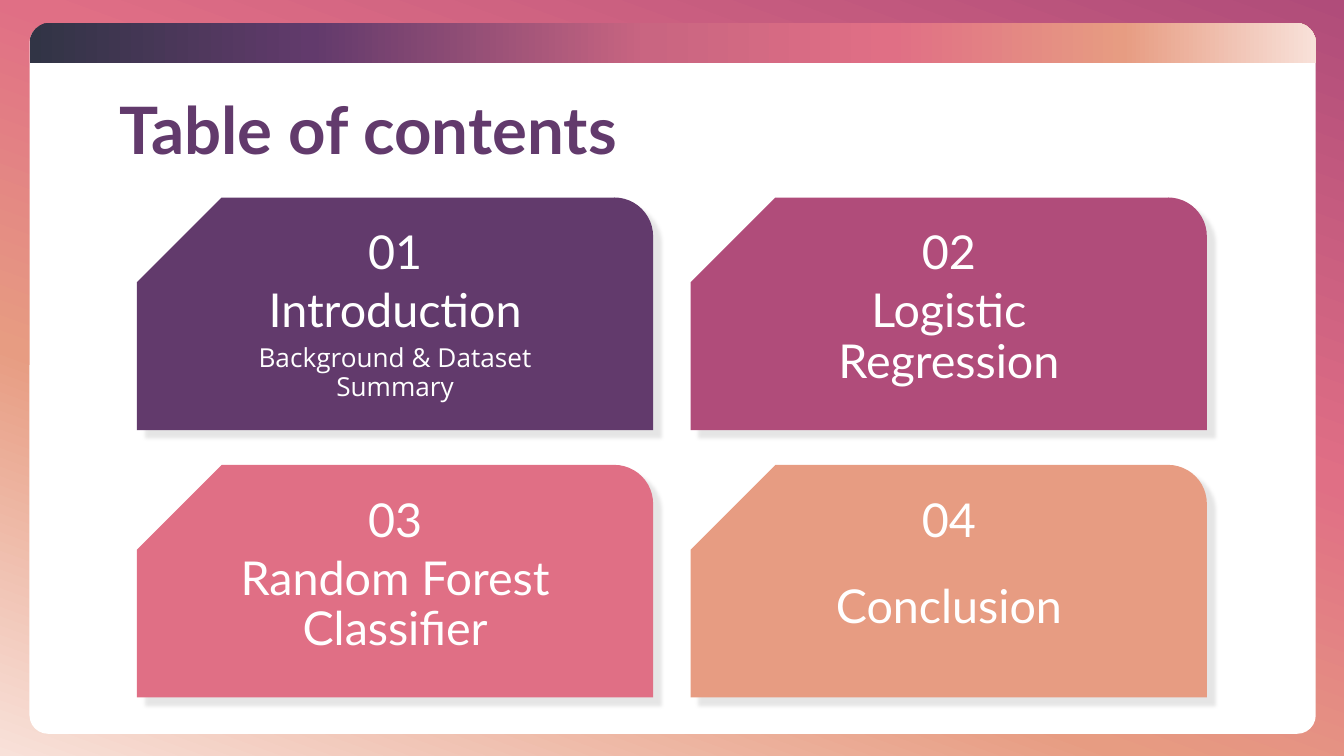
from lxml import etree
from pptx import Presentation
from pptx.dml.color import RGBColor
from pptx.enum.shapes import MSO_SHAPE
from pptx.enum.text import MSO_ANCHOR, PP_ALIGN
from pptx.oxml.ns import qn
from pptx.util import Inches, Pt

ROUNDED = MSO_SHAPE.ROUNDED_RECTANGLE
TOP_ROUNDED = MSO_SHAPE.ROUND_2_SAME_RECTANGLE
SNIP_ROUNDED = MSO_SHAPE.SNIP_ROUND_RECTANGLE
MIDDLE, TOP = MSO_ANCHOR.MIDDLE, MSO_ANCHOR.TOP
LEFT, CENTER = PP_ALIGN.LEFT, PP_ALIGN.CENTER

# Content
TITLE = "Table of contents"
WHITE, PURPLE = "FFFFFF", "623A6C"
CARDS = [  # number, heading, detail, fill, heading offset from the card top
    ("01", "Introduction", "Background & Dataset Summary", PURPLE, 0.62),
    ("02", "Logistic Regression", None, "B04C7A", 0.62),
    ("03", "Random Forest Classifier", None, "E06F85", 0.62),
    ("04", "Conclusion", None, "E79C82", 0.83),
]
BACKGROUND_STOPS = [(0, "B04C7A"), (39, "E06F85"), (67, "E79C82"), (100, "F8E1D9")]
BAND_STOPS = [(0, "313445"), (22, PURPLE), (48, "C96581"),
              (67, "E06F85"), (85, "E79C82"), (100, "F8E1D9")]

# Slide (16:9) and grid, in inches
SLIDE_WIDTH = 10
SLIDE_HEIGHT = SLIDE_WIDTH * 9 / 16
COLUMNS = 2
GRID_LEFT, GRID_TOP = 1.02, 1.47
CARD_WIDTH, CARD_HEIGHT = 3.84, 1.73
COLUMN_STEP, ROW_STEP = 4.12, 1.99
TEXT_WIDTH, TEXT_HEIGHT = 2.79, 0.43
NUMBER_OFFSET, DETAIL_OFFSET = 0.19, 1.05


def color(hex_value):
    return RGBColor.from_string(hex_value)


def add_color(parent, hex_value):
    return etree.SubElement(parent, qn("a:srgbClr"), val=hex_value)


def paint_gradient(fill, owner, stops, angle):
    """Swap the owner's fill for a linear gradient."""
    fill.solid()
    solid = next(owner.iter(qn("a:solidFill")))
    gradient = etree.Element(qn("a:gradFill"), rotWithShape="1")
    stop_list = etree.SubElement(gradient, qn("a:gsLst"))
    for position, hex_value in stops:
        stop = etree.SubElement(stop_list, qn("a:gs"), pos=str(position * 1000))
        add_color(stop, hex_value)
    etree.SubElement(gradient, qn("a:lin"), ang=str(angle * 60000), scaled="0")
    solid.getparent().replace(solid, gradient)


def add_panel(slide, kind, box, adjustments, fill=WHITE):
    shape = slide.shapes.add_shape(kind, *map(Inches, box))
    for index, value in enumerate(adjustments):
        shape.adjustments[index] = value
    shape.fill.solid()
    shape.fill.fore_color.rgb = color(fill)
    shape.line.fill.background()
    shape.shadow.inherit = False
    return shape


def add_card(slide, box, fill):
    card = add_panel(slide, SNIP_ROUNDED, box, (0.167, 0.364), fill)
    properties = card.element.spPr
    properties.find(qn("a:xfrm")).set("flipH", "1")
    shadow = etree.SubElement(properties.find(qn("a:effectLst")), qn("a:outerShdw"),
                              blurRad=str(Pt(2)), dist=str(Pt(6)), dir=str(45 * 60000),
                              algn="bl", rotWithShape="0")
    etree.SubElement(add_color(shadow, "000000"), qn("a:alpha"), val="10000")


def add_text(slide, box, text, size, font="Lato", fill=WHITE, bold=False,
             alignment=CENTER, anchor=TOP, space_before=7.5):
    frame = slide.shapes.add_textbox(*map(Inches, box)).text_frame
    frame.word_wrap = True
    frame.vertical_anchor = anchor
    paragraph = frame.paragraphs[0]
    paragraph.text = text
    paragraph.alignment = alignment
    paragraph.line_spacing = 0.9
    paragraph.space_before = Pt(space_before)
    paragraph.font.name = font
    paragraph.font.size = Pt(size)
    paragraph.font.bold = bold
    paragraph.font.color.rgb = color(fill)


def main():
    presentation = Presentation()
    presentation.slide_width = Inches(SLIDE_WIDTH)
    presentation.slide_height = Inches(SLIDE_HEIGHT)
    slide = presentation.slides.add_slide(presentation.slide_layouts[6])

    # Background, white page and gradient band
    paint_gradient(slide.background.fill, slide.element, BACKGROUND_STOPS, 110)
    add_panel(slide, ROUNDED, (0.22, 0.18, 9.57, 5.28), [0.026])
    band = add_panel(slide, TOP_ROUNDED, (0.22, 0.17, 9.57, 0.3), (0.5, 0))
    paint_gradient(band.fill, band.element, BAND_STOPS, 0)

    # Title
    add_text(slide, (0.79, 0.6, 8.42, 0.78), TITLE, 35, fill=PURPLE, bold=True,
             alignment=LEFT, anchor=MIDDLE, space_before=0)

    # Cards
    for index, (number, heading, detail, fill, heading_offset) in enumerate(CARDS):
        row, column = divmod(index, COLUMNS)
        left = GRID_LEFT + column * COLUMN_STEP
        top = GRID_TOP + row * ROW_STEP
        add_card(slide, (left, top, CARD_WIDTH, CARD_HEIGHT), fill)

        text_left = left + (CARD_WIDTH - TEXT_WIDTH) / 2
        lines = [(number, NUMBER_OFFSET, 25, "Lato"),
                 (heading, heading_offset, 25, "Lato"),
                 (detail, DETAIL_OFFSET, 14, "Open Sans")]
        for text, offset, size, font in lines:
            if text:
                box = (text_left, top + offset, TEXT_WIDTH, TEXT_HEIGHT)
                add_text(slide, box, text, size, font)

    presentation.save("out.pptx")


if __name__ == "__main__":
    main()
